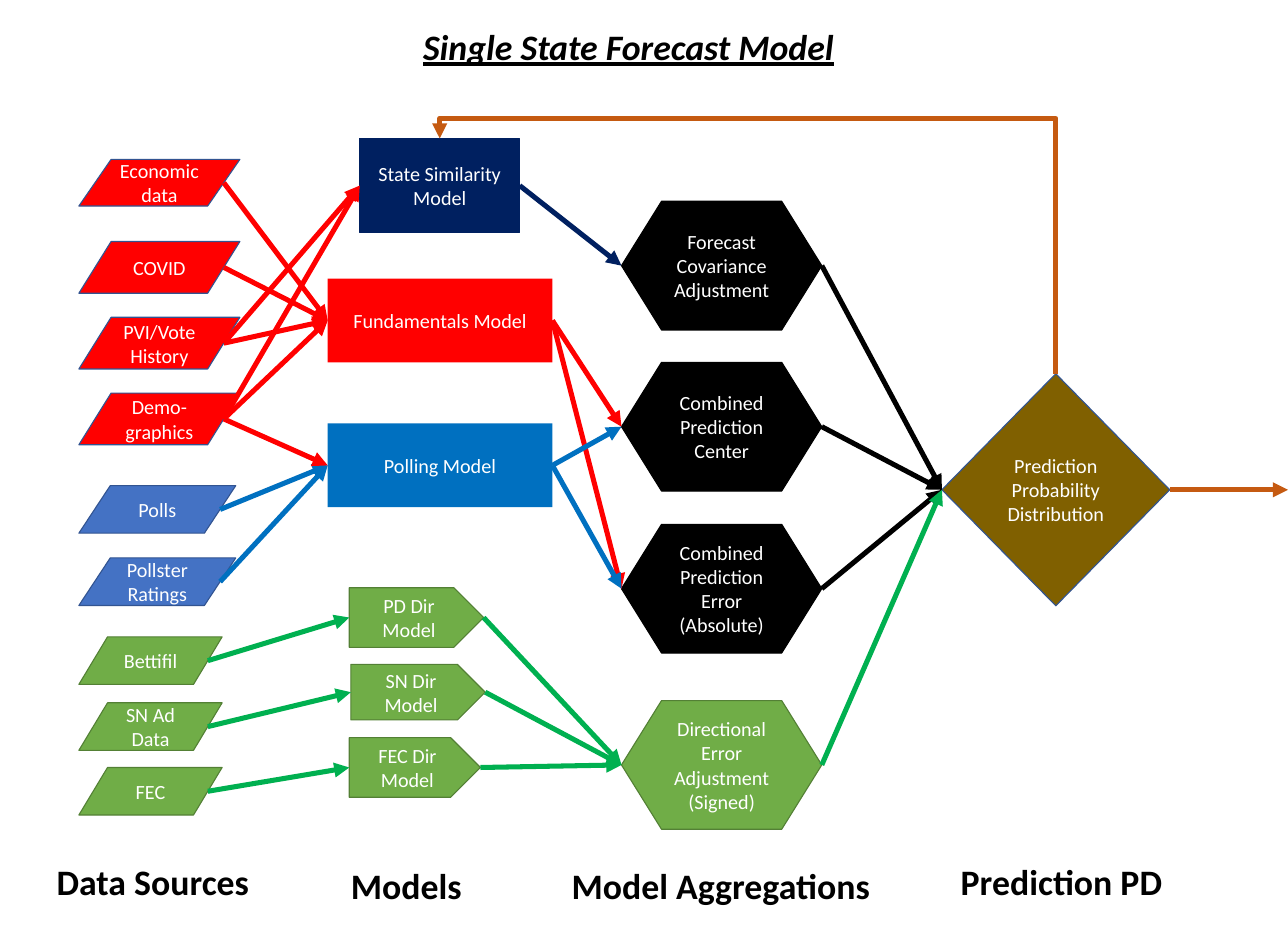
import lxml.etree
import pptx
import pptx.dml.color
import pptx.enum.shapes
import pptx.enum.text
import pptx.oxml.ns
import pptx.util

Cm = pptx.util.Cm
Pt = pptx.util.Pt
SHAPE = pptx.enum.shapes.MSO_SHAPE
CONNECTOR = pptx.enum.shapes.MSO_CONNECTOR
ALIGN = pptx.enum.text.PP_ALIGN

SLIDE_WIDTH, SLIDE_HEIGHT = 40.64, 29.21
FONT = "Calibri"
COLORS = {
    "red": "FF0000", "blue": "0070C0", "poll": "4472C4", "poll edge": "325491",
    "leaf": "70AD47", "leaf edge": "538035", "green": "00B050", "navy": "002060",
    "black": "000000", "white": "FFFFFF", "gold": "806000", "orange": "C55A11",
}

# label, top, width, height, fill, outline
DATA_SOURCES = [
    ("Economic data", 5.03, 5.08, 1.47, "red", "poll edge"),
    ("COVID", 7.62, 5.08, 1.63, "red", "poll edge"),
    ("PVI/Vote History", 10.01, 5.08, 1.63, "red", "poll edge"),
    ("Demo-graphics", 12.4, 5.08, 1.63, "red", "poll edge"),
    ("Polls", 15.32, 4.95, 1.5, "poll", "poll edge"),
    ("Pollster Ratings", 17.6, 4.95, 1.5, "poll", "poll edge"),
    ("Bettifil", 20.09, 4.52, 1.5, "leaf", "leaf edge"),
    ("SN Ad Data", 22.17, 4.52, 1.5, "leaf", "leaf edge"),
    ("FEC", 24.21, 4.52, 1.5, "leaf", "leaf edge"),
]
# label, preset, left, top, width, height, fill, outline
MODELS = [
    ("State Similarity Model", SHAPE.RECTANGLE, 11.35, 4.37, 5.05, 2.97, "navy", "navy"),
    ("Fundamentals Model", SHAPE.RECTANGLE, 10.34, 8.79, 7.09, 2.64, "red", None),
    ("Polling Model", SHAPE.RECTANGLE, 10.34, 13.36, 7.09, 2.64, "blue", None),
    ("PD Dir Model", SHAPE.PENTAGON, 11.02, 18.54, 4.24, 1.88, "leaf", "leaf edge"),
    ("SN Dir Model", SHAPE.PENTAGON, 11.07, 20.96, 4.24, 1.75, "leaf", "leaf edge"),
    ("FEC Dir Model", SHAPE.PENTAGON, 11.02, 23.27, 4.14, 1.88, "leaf", "leaf edge"),
]
# label, top, fill, outline
AGGREGATIONS = [
    ("Forecast Covariance Adjustment", 6.35, "black", "black"),
    ("Combined Prediction Center", 11.43, "black", "black"),
    ("Combined Prediction Error (Absolute)", 16.54, "black", "black"),
    ("Directional Error Adjustment (Signed)", 22.1, "leaf", "leaf edge"),
]
PREDICTION = "Prediction Probability Distribution"
# target, arrow colour, origins
FLOWS = [
    ("Fundamentals Model", "red",
     ["Economic data", "COVID", "PVI/Vote History", "Demo-graphics"]),
    ("Polling Model", "blue", ["Polls", "Pollster Ratings"]),
    ("Polling Model", "red", ["Demo-graphics"]),
    ("PD Dir Model", "green", ["Bettifil"]),
    ("SN Dir Model", "green", ["SN Ad Data"]),
    ("FEC Dir Model", "green", ["FEC"]),
    ("Combined Prediction Center", "red", ["Fundamentals Model"]),
    ("Combined Prediction Error (Absolute)", "red", ["Fundamentals Model"]),
    ("Combined Prediction Center", "blue", ["Polling Model"]),
    ("Combined Prediction Error (Absolute)", "blue", ["Polling Model"]),
    ("Directional Error Adjustment (Signed)", "green",
     ["PD Dir Model", "SN Dir Model", "FEC Dir Model"]),
    (PREDICTION, "black", [label for label, *_ in AGGREGATIONS[:3]]),
    (PREDICTION, "green", ["Directional Error Adjustment (Signed)"]),
    ("Forecast Covariance Adjustment", "navy", ["State Similarity Model"]),
    ("State Similarity Model", "red", ["Demo-graphics", "PVI/Vote History"]),
]
# text, left, top, width
HEADINGS = [
    ("Data Sources", 1.22, 27, 7.21),
    ("Models", 9.22, 27.13, 7.21),
    ("Model Aggregations", 17.65, 27.13, 10.19),
    ("Prediction PD", 28.4, 27, 10.19),
]


def rgb(color):
    return pptx.dml.color.RGBColor.from_string(COLORS[color])


def write(frame, text, size, color):
    frame.word_wrap = True
    paragraph = frame.paragraphs[0]
    paragraph.text = text
    paragraph.alignment = ALIGN.CENTER
    font = paragraph.runs[0].font
    font.name, font.size = FONT, Pt(size)
    font.color.rgb = rgb(color)
    return font


def add_node(slide, label, preset, left, top, width, height, fill, outline):
    node = slide.shapes.add_shape(preset, Cm(left), Cm(top), Cm(width), Cm(height))
    node.shadow.inherit = False
    node.fill.solid()
    node.fill.fore_color.rgb = rgb(fill)
    if outline:
        node.line.color.rgb = rgb(outline)
        node.line.width = Pt(1)
    else:
        node.line.fill.background()
    node.text_frame.vertical_anchor = pptx.enum.text.MSO_ANCHOR.MIDDLE
    write(node.text_frame, label, 18, "white")
    return node


def add_heading(slide, text, left, top, width):
    box = slide.shapes.add_textbox(Cm(left), Cm(top), Cm(width), Cm(1.62))
    font = write(box.text_frame, text, 32, "black")
    box.text_frame.auto_size = pptx.enum.text.MSO_AUTO_SIZE.SHAPE_TO_FIT_TEXT
    font.bold = True
    return font


def left_point(node):
    return node.left, node.top + node.height // 2


def right_point(node):
    """Middle of the right edge, which is slanted on a data source."""
    slanted = node.auto_shape_type == SHAPE.FLOWCHART_DATA
    inset = node.width // 10 if slanted else 0
    return node.left + node.width - inset, node.top + node.height // 2


def add_arrow(slide, start, end, color, kind=CONNECTOR.STRAIGHT):
    arrow = slide.shapes.add_connector(kind, *start, *end)
    arrow.line.color.rgb = rgb(color)
    arrow.line.width = Pt(4.5)
    qn = pptx.oxml.ns.qn
    line = arrow.element.find(".//" + qn("a:ln"))
    lxml.etree.SubElement(line, qn("a:tailEnd"), type="triangle")
    lxml.etree.SubElement(line.getparent(), qn("a:effectLst"))
    return arrow


def add_feedback(slide, origin, target):
    """Elbow arrow from the top of origin, over and down to the top of target."""
    start_x, end_x = (node.left + node.width // 2 for node in (origin, target))
    middle_x, middle_y = (start_x + end_x) // 2, (origin.top + target.top) // 2
    half_rise = (origin.top - target.top) // 2
    half_span = (start_x - end_x) // 2
    arrow = add_arrow(slide, (middle_x - half_rise, middle_y + half_span),
                      (middle_x + half_rise, middle_y - half_span),
                      "orange", CONNECTOR.ELBOW)
    qn = pptx.oxml.ns.qn
    arrow.element.find(".//" + qn("a:xfrm")).set("rot", str(270 * 60000))
    adjustments = arrow.element.find(".//" + qn("a:avLst"))
    lxml.etree.SubElement(adjustments, qn("a:gd"), name="adj1", fmla="val 108600")


def main():
    deck = pptx.Presentation()
    deck.slide_width, deck.slide_height = Cm(SLIDE_WIDTH), Cm(SLIDE_HEIGHT)
    slide = deck.slides.add_slide(deck.slide_layouts[6])

    rows = [(label, SHAPE.FLOWCHART_DATA, 2.49, *rest) for label, *rest in DATA_SOURCES]
    rows += MODELS
    rows += [(label, SHAPE.FLOWCHART_PREPARATION, 19.61, top, 6.32, 4.06, fill, outline)
             for label, top, fill, outline in AGGREGATIONS]
    rows.append((PREDICTION, SHAPE.FLOWCHART_DECISION,
                 29.72, 11.79, 7.19, 7.32, "gold", "poll edge"))
    nodes = {row[0]: add_node(slide, *row) for row in rows}

    for target, color, origins in FLOWS:
        for origin in origins:
            add_arrow(slide, right_point(nodes[origin]), left_point(nodes[target]), color)
    prediction = nodes[PREDICTION]
    add_feedback(slide, prediction, nodes["State Similarity Model"])
    exit_x, exit_y = right_point(prediction)
    add_arrow(slide, (exit_x, exit_y), (deck.slide_width, exit_y), "orange")

    for heading in HEADINGS:
        add_heading(slide, *heading)
    title_font = add_heading(slide, "Single State Forecast Model", 11.76, 0.66, 16.15)
    title_font.italic = title_font.underline = True

    deck.save("out.pptx")


if __name__ == "__main__":
    main()
